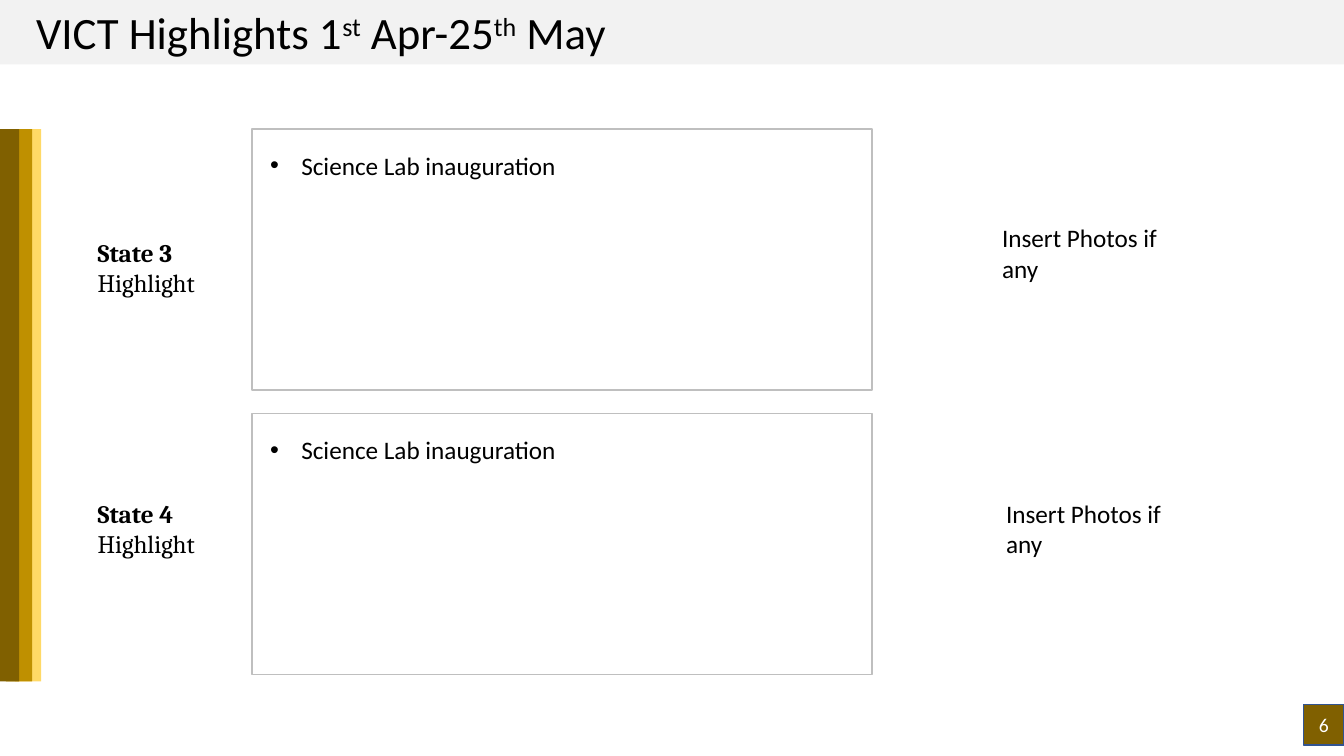
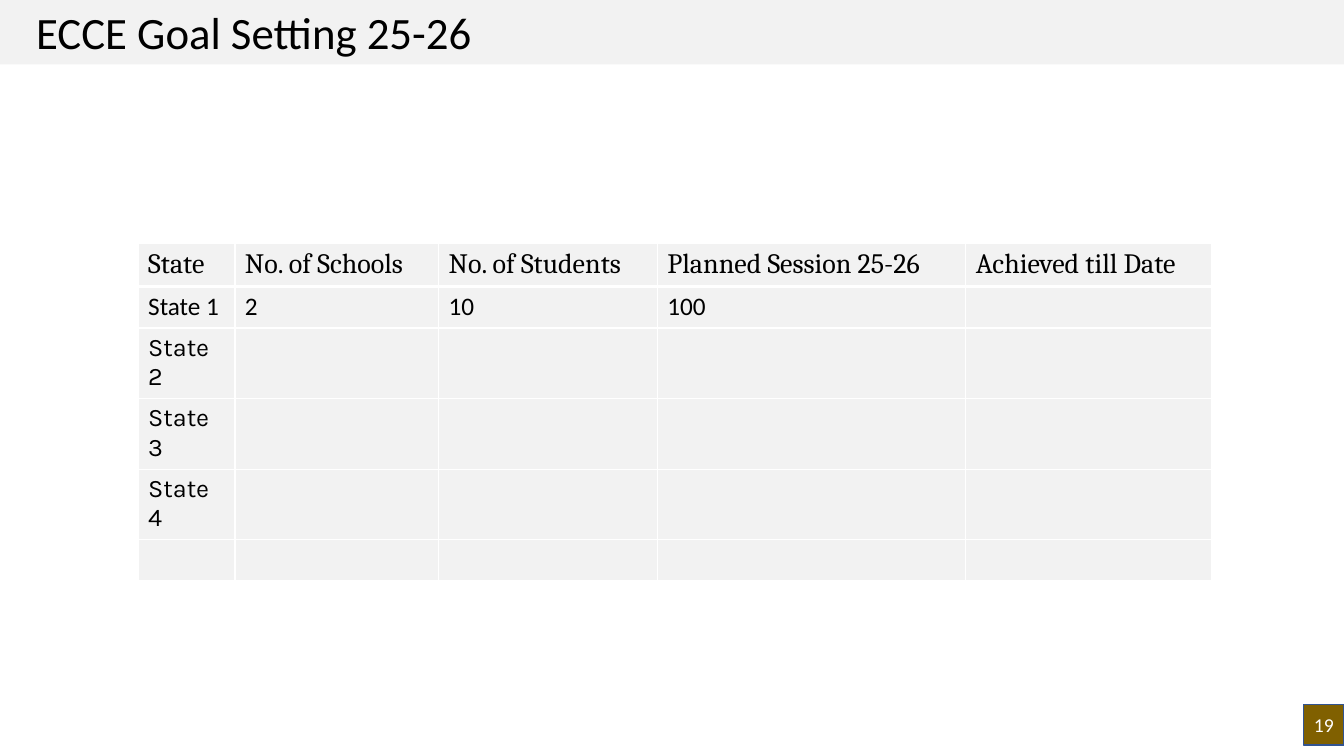
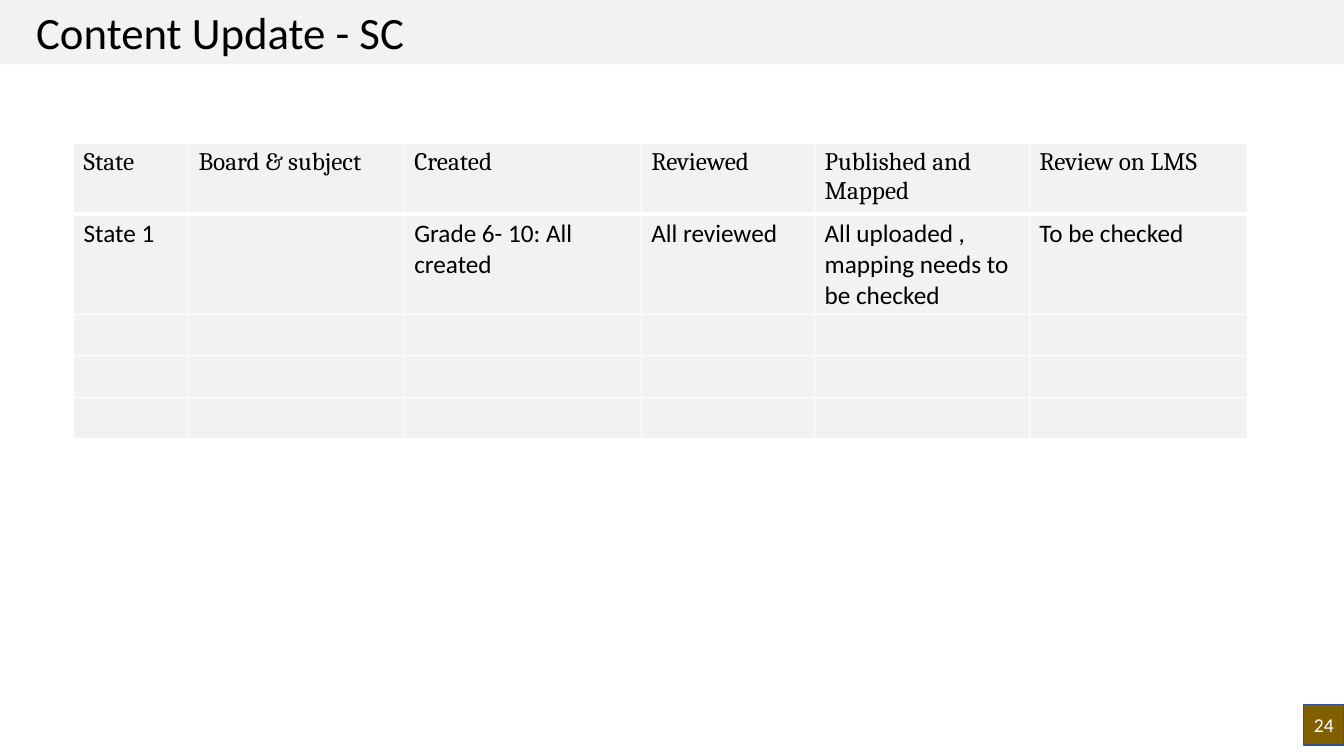
from itertools import zip_longest

from lxml.etree import SubElement
from pptx import Presentation
from pptx.dml.color import RGBColor
from pptx.enum.shapes import MSO_SHAPE as Preset
from pptx.enum.text import MSO_ANCHOR as Anchor, MSO_AUTO_SIZE as AutoSize, PP_ALIGN as Align
from pptx.oxml.ns import qn
from pptx.util import Emu, Pt

EMU_PER_PX = 9144  # 100 px to the inch
SLIDE_WIDTH, SLIDE_HEIGHT = 1333, 750

BLACK, WHITE = "000000", "FFFFFF"
PALE_GREY, BORDER_GREY = "F2F2F2", "BFBFBF"
DARK_GOLD, GOLD, LIGHT_GOLD = "806000", "BF9000", "FFD966"
BADGE_LINE = "325491"
BODY_FONT, HEADING_FONT, STATE_FONT = "Calibri", "Cambria", "Karla"

BULLET_INDENT = 31
ROW_HEIGHT = 41


def px(length):
    return Emu(length * EMU_PER_PX)


def color(hex_text):
    return RGBColor.from_string(hex_text)


def style_run(run, size=18, font=BODY_FONT, ink=BLACK, bold=False):
    run.font.size = Pt(size)
    run.font.name = font
    run.font.bold = bold
    run.font.color.rgb = color(ink)


def add_rect(page, left, top, width, height, fill=None, line=None):
    rect = page.shapes.add_shape(Preset.RECTANGLE, px(left), px(top), px(width), px(height))
    rect.shadow.inherit = False
    if fill:
        rect.fill.solid()
        rect.fill.fore_color.rgb = color(fill)
    else:
        rect.fill.background()
    if line:
        rect.line.color.rgb = color(line)
        rect.line.width = Pt(1)
    else:
        rect.line.fill.background()
    return rect


def add_text(page, left, top, width, height, lines, **style):
    """Add a wrapping text box with one paragraph per line and return its paragraphs."""
    box = page.shapes.add_textbox(px(left), px(top), px(width), px(height))
    frame = box.text_frame
    frame.word_wrap = True
    frame.auto_size = AutoSize.SHAPE_TO_FIT_TEXT
    frame.text = "\n".join(lines)
    for para in frame.paragraphs:
        for run in para.runs:
            style_run(run, **style)
    return frame.paragraphs


def add_bullet(para):
    properties = para._p.get_or_add_pPr()
    properties.set("marL", str(px(BULLET_INDENT)))
    properties.set("indent", str(-px(BULLET_INDENT)))
    SubElement(properties, qn("a:buFont"), typeface="Arial")
    SubElement(properties, qn("a:buChar"), char="•")


def add_title(page, spans):
    """Add the title band; every second span of the title is superscript."""
    add_rect(page, -18, 0, 1370, 64, fill=PALE_GREY)
    para = add_text(page, 26, 0, 953, 64, [""])[0]
    for index, span in enumerate(spans):
        run = para.add_run()
        run.text = span
        style_run(run, size=32)
        if index % 2:
            run._r.get_or_add_rPr().set("baseline", "30000")


def add_page_number(page, number):
    badge = add_rect(page, 1293, 699, 40, 40, fill=DARK_GOLD, line=BADGE_LINE)
    frame = badge.text_frame
    frame.word_wrap = False
    frame.vertical_anchor = Anchor.MIDDLE
    frame.text = str(number)
    para = frame.paragraphs[0]
    para.alignment = Align.CENTER
    style_run(para.runs[0], size=14, ink=WHITE)


def add_page(deck, title_spans, number):
    page = deck.slides.add_slide(deck.slide_layouts[6])
    add_title(page, title_spans)
    add_page_number(page, number)
    return page


def add_side_stripes(page):
    for left, fill in ((15, LIGHT_GOLD), (6, GOLD), (-7, DARK_GOLD)):
        add_rect(page, left, 128, 26, 548, fill=fill)


def add_highlight(page, state, panel_top, label_top, photo_left, photo_top):
    add_text(page, 87, label_top, 222, 71, [state, "Highlight"], font=HEADING_FONT)[0].runs[0].font.bold = True
    add_rect(page, 250, panel_top, 615, 259, line=BORDER_GREY)
    add_bullet(add_text(page, 258, panel_top + 16, 595, 40, ["Science Lab inauguration"])[0])
    add_text(page, photo_left, photo_top, 202, 71, ["Insert Photos if any"])


def set_borders(cell, bottom_width):
    properties = cell._tc.get_or_add_tcPr()
    for side, width in (("L", 1), ("R", 1), ("T", 1), ("B", bottom_width)):
        line = SubElement(properties, qn(f"a:ln{side}"), w=str(Pt(width)))
        fill = SubElement(line, qn("a:solidFill"))
        SubElement(fill, qn("a:srgbClr"), val=WHITE)


def add_grid(page, left, top, column_widths, rows, header_size):
    """Add a table from (font, texts) rows; cells past the end of texts stay empty."""
    frame = page.shapes.add_table(len(rows), len(column_widths), px(left), px(top),
                                  px(sum(column_widths)), px(ROW_HEIGHT * len(rows)))
    table = frame.table
    table.horz_banding = False
    for column, width in zip(table.columns, column_widths):
        column.width = px(width)
    for index, (row, (font, texts)) in enumerate(zip(table.rows, rows)):
        size = 18 if index else header_size
        for cell, text in zip_longest(row.cells, texts, fillvalue=""):
            set_borders(cell, 1 if index else 3)
            cell.fill.solid()
            cell.fill.fore_color.rgb = color(PALE_GREY)
            cell.text = text
            for run in cell.text_frame.paragraphs[0].runs:
                style_run(run, size, font)


def build_highlights(deck):
    page = add_page(deck, ["VICT Highlights 1", "st", " Apr-25", "th", " May"], 6)
    add_highlight(page, "State 3", 128, 230, 984, 216)
    add_highlight(page, "State 4", 410, 489, 988, 489)
    add_side_stripes(page)


def build_goals(deck):
    page = add_page(deck, ["ECCE Goal Setting 25-26"], 19)
    headings = ["State", "No. of Schools", "No. of Students", "Planned Session 25-26", "Achieved till Date"]
    rows = [
        (HEADING_FONT, headings),
        (BODY_FONT, ["State 1", "2", "10", "100"]),
        *((STATE_FONT, [f"State {number}"]) for number in (2, 3, 4)),
        (BODY_FONT, []),
    ]
    add_grid(page, 137, 241, [96, 202, 217, 306, 244], rows, header_size=20)


def build_content_update(deck):
    page = add_page(deck, ["Content Update - SC"], 24)
    headings = ["State", "Board & subject", "Created", "Reviewed", "Published and Mapped", "Review on LMS"]
    progress = ["State 1", "", "Grade 6- 10: All created", "All reviewed",
                "All uploaded , mapping needs to be checked", "To be checked"]
    rows = [(HEADING_FONT, headings), (BODY_FONT, progress)] + [(BODY_FONT, [])] * 3
    add_grid(page, 73, 142, [114, 214, 235, 172, 213, 216], rows, header_size=18)


def main():
    deck = Presentation()
    deck.slide_width, deck.slide_height = px(SLIDE_WIDTH), px(SLIDE_HEIGHT)
    build_highlights(deck)
    build_goals(deck)
    build_content_update(deck)
    deck.save("out.pptx")


if __name__ == "__main__":
    main()
